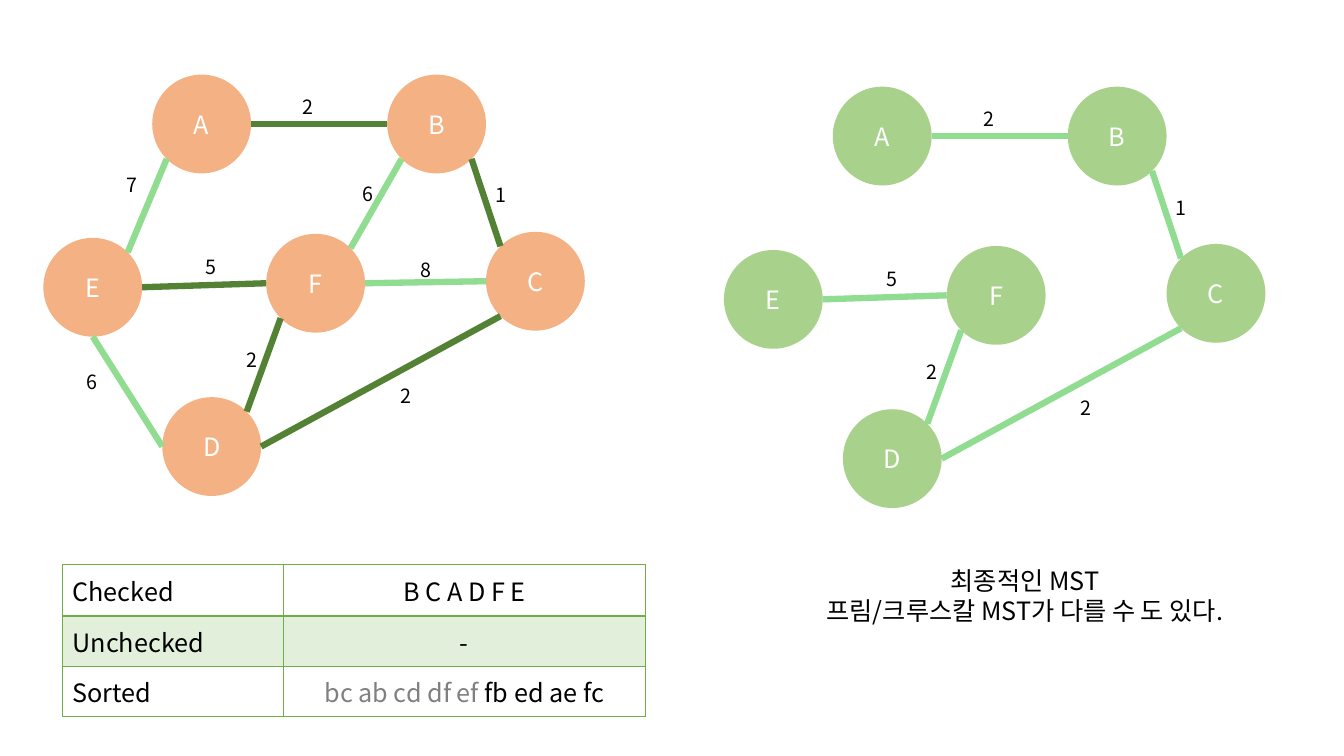
"""Build a slide comparing a weighted graph with its minimum spanning tree."""
import math
from dataclasses import dataclass

import pptx
import pptx.dml.color
import pptx.enum.shapes
import pptx.enum.text
import pptx.oxml
import pptx.oxml.ns
import pptx.util
from pptx.util import Inches, Pt


@dataclass(frozen=True)
class Theme:
    font: str = "Noto Sans CJK KR"
    body: int = 18
    weight: int = 14
    line_ratio: float = 1.2
    edge_width: float = 4.5
    graph_node: str = "F4B183"
    tree_node: str = "A8D18C"
    chosen: str = "548235"
    plain: str = "90DC90"
    border: str = "70AD47"
    band: str = "E2EFDA"
    done: str = "808080"
    dark: str = "000000"
    white: str = "FFFFFF"


THEME = Theme()
DIAMETER = 0.98
LABEL_SIZE = (0.39, 0.34)
TREE_OFFSET = (6.75, 0.12)

NODES = {
    "B": (3.84, 0.74), "A": (1.51, 0.74), "F": (2.64, 2.32),
    "E": (0.43, 2.36), "C": (4.82, 2.30), "D": (1.61, 3.94),
}
ANGLES = {
    "right": 0, "bottom right": 45, "bottom": 90, "bottom left": 135,
    "left": 180, "top left": 225, "top right": 315,
}
# start, start side, end, end side, weight, label position, in the tree
EDGES = [
    ("A", "right", "B", "left", "2", (2.86, 0.89), True),
    ("C", "top left", "B", "bottom right", "1", (4.77, 1.77), True),
    ("F", "top right", "B", "bottom left", "6", (3.45, 1.76), False),
    ("E", "top right", "A", "bottom left", "7", (1.11, 1.67), False),
    ("F", "left", "E", "right", "5", (1.90, 2.48), True),
    ("D", "right", "C", "bottom left", "2", (3.83, 3.76), True),
    ("D", "left", "E", "bottom", "6", (0.72, 3.62), False),
    ("D", "top right", "F", "bottom left", "2", (2.30, 3.40), True),
    ("C", "left", "F", "right", "8", (4.03, 2.51), False),
]
ROWS = [
    ("Checked", [("B C A D F E", THEME.dark)]),
    ("Unchecked", [("-", THEME.dark)]),
    ("Sorted", [("bc ab cd df ef ", THEME.done), ("fb ed ae fc", THEME.dark)]),
]
COLUMN_WIDTHS = (2.19, 3.59)
ROW_HEIGHTS = (0.51, 0.5, 0.5)
CONCLUSION = ["최종적인 MST", "프림/크루스칼 MST가 다를 수 도 있다."]


def rgb(color):
    return pptx.dml.color.RGBColor.from_string(color)


def style(paragraph, size, color, centered=True):
    paragraph.font.name = THEME.font
    paragraph.font.size = Pt(size)
    paragraph.font.color.rgb = rgb(color)
    if centered:
        paragraph.alignment = pptx.enum.text.PP_ALIGN.CENTER


def add_text(shapes, box, lines, size):
    text_frame = shapes.add_textbox(*map(Inches, box)).text_frame
    text_frame.word_wrap = True
    text_frame.text = "\n".join(lines)
    for paragraph in text_frame.paragraphs:
        style(paragraph, size, THEME.dark)
        paragraph.line_spacing = Pt(size * THEME.line_ratio)


def add_node(shapes, name, position, color):
    node = shapes.add_shape(pptx.enum.shapes.MSO_SHAPE.OVAL,
                            *map(Inches, (*position, DIAMETER, DIAMETER)))
    node.shadow.inherit = False
    node.fill.solid()
    node.fill.fore_color.rgb = rgb(color)
    node.line.fill.background()
    node.text_frame.text = name
    node.text_frame.vertical_anchor = pptx.enum.text.MSO_ANCHOR.MIDDLE
    style(node.text_frame.paragraphs[0], THEME.body, THEME.white)


def rim_point(position, side):
    angle = math.radians(ANGLES[side])
    radius = DIAMETER / 2
    return (position[0] + radius * (1 + math.cos(angle)),
            position[1] + radius * (1 + math.sin(angle)))


def add_edge(shapes, start, end, color):
    edge = shapes.add_connector(pptx.enum.shapes.MSO_CONNECTOR.STRAIGHT,
                                *map(Inches, (*start, *end)))
    edge.line.color.rgb = rgb(color)
    edge.line.width = Pt(THEME.edge_width)
    properties = edge._element.spPr
    properties.append(pptx.oxml.parse_xml(
        f'<a:effectLst {pptx.oxml.ns.nsdecls("a")}/>'))


def add_graph(shapes, edges, offset, node_color, chosen_color):
    def shifted(position):
        return position[0] + offset[0], position[1] + offset[1]

    for name, position in NODES.items():
        add_node(shapes, name, shifted(position), node_color)
    for start, start_side, end, end_side, _, _, in_tree in edges:
        add_edge(shapes, rim_point(shifted(NODES[start]), start_side),
                 rim_point(shifted(NODES[end]), end_side),
                 chosen_color if in_tree else THEME.plain)
    for *_, weight, position, _ in edges:
        add_text(shapes, (*shifted(position), *LABEL_SIZE), [weight], THEME.weight)


def set_borders(cell, widths):
    properties = cell._tc.get_or_add_tcPr()
    for side, width in widths.items():
        properties.append(pptx.oxml.parse_xml(
            f'<a:ln{side} {pptx.oxml.ns.nsdecls("a")} w="{Pt(width)}"><a:solidFill>'
            f'<a:srgbClr val="{THEME.border}"/></a:solidFill></a:ln{side}>'))


def add_status_table(shapes):
    box = (0.62, 5.6, sum(COLUMN_WIDTHS), sum(ROW_HEIGHTS))
    table = shapes.add_table(len(ROWS), len(COLUMN_WIDTHS), *map(Inches, box)).table
    table.first_row = table.horz_banding = False
    for column, width in zip(table.columns, COLUMN_WIDTHS):
        column.width = Inches(width)
    for row, height in zip(table.rows, ROW_HEIGHTS):
        row.height = Inches(height)
    for row_index, (heading, values) in enumerate(ROWS):
        for column_index, runs in enumerate(([(heading, THEME.dark)], values)):
            cell = table.cell(row_index, column_index)
            set_borders(cell, {"L": 1, "R": 1, "T": 2 if row_index == 1 else 1,
                               "B": 2 if row_index == 0 else 1})
            cell.fill.solid()
            cell.fill.fore_color.rgb = rgb(THEME.band if row_index == 1 else THEME.white)
            cell.vertical_anchor = pptx.enum.text.MSO_ANCHOR.MIDDLE
            paragraph = cell.text_frame.paragraphs[0]
            style(paragraph, THEME.body, THEME.dark, centered=column_index == 1)
            for text, color in runs:
                run = paragraph.add_run()
                run.text = text
                run.font.color.rgb = rgb(color)


def main():
    presentation = pptx.Presentation()
    presentation.slide_width = Inches(13.33)
    presentation.slide_height = Inches(7.5)
    slide = presentation.slides.add_slide(presentation.slide_layouts[6])

    graph = slide.shapes.add_group_shape()
    add_graph(graph.shapes, EDGES, (0, 0), THEME.graph_node, THEME.chosen)
    add_status_table(slide.shapes)
    tree_edges = [edge for edge in EDGES if edge[-1]]
    add_graph(slide.shapes, tree_edges, TREE_OFFSET, THEME.tree_node, THEME.plain)
    add_text(slide.shapes, (7.63, 5.56, 5.07, 0.98), CONCLUSION, THEME.body)
    presentation.save("out.pptx")


main()
